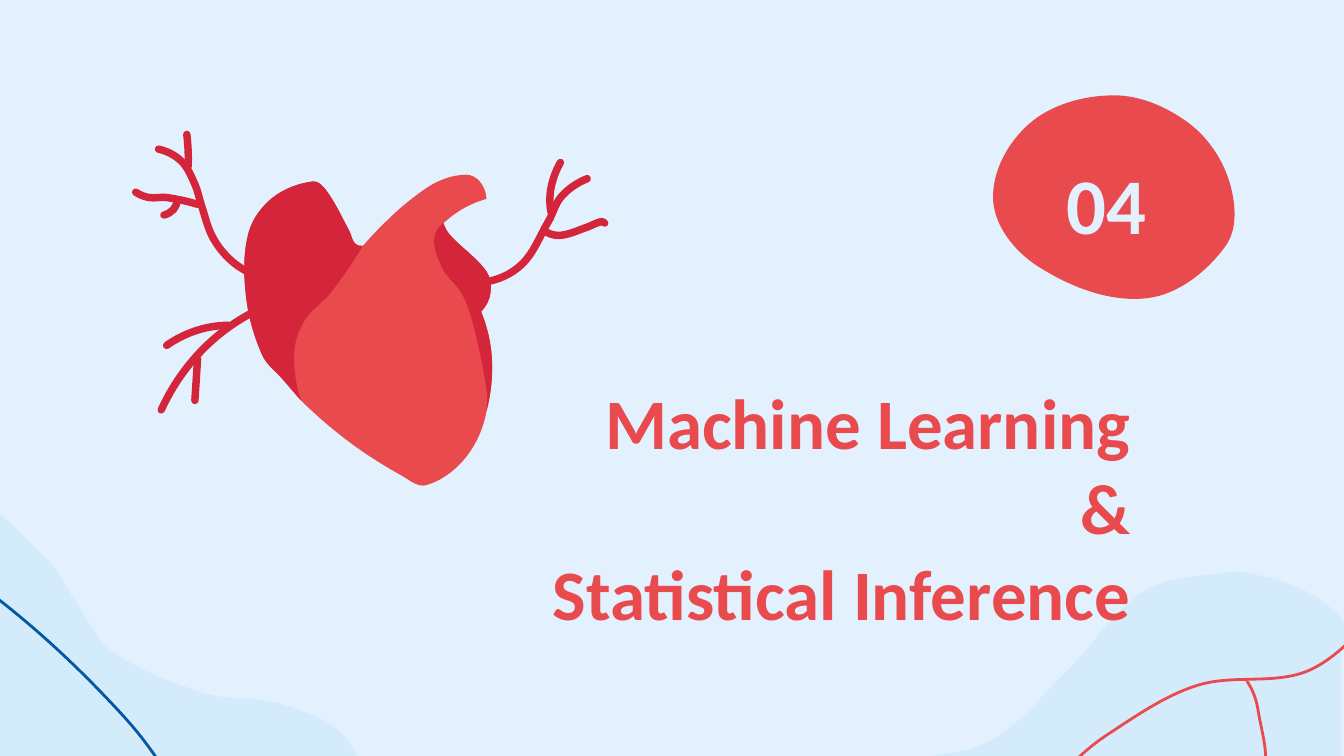
from math import dist

from pptx import Presentation
from pptx.dml.color import RGBColor
from pptx.enum.shapes import MSO_SHAPE
from pptx.enum.text import MSO_ANCHOR, PP_ALIGN
from pptx.oxml.ns import qn
from pptx.util import Pt

COLORS = {
    "background": "E3F1FE",
    "wave": "D4EBFC",
    "blue": "0258A1",
    "coral": "E94A4E",
    "crimson": "D4253B",
}
FONT = "Calibri"
UNIT = Pt(0.72)  # one grid step of the key points below
VEIN_WIDTH, VESSEL_WIDTH = 1.5, 4

# Key points are (x, y) grid steps from the corner of a region's box.
# A smooth curve is laid through them; separate runs meet in sharp corners.
BADGE = [(129, 21), (66, 42), (39, 99), (72, 148), (153, 172),
         (212, 133), (215, 86), (185, 42), (129, 21)]

LEFT_WAVE = [(-98, 324), (31, 383), (116, 361), (182, 341), (243, 329), (271, 304),
             (258, 250), (210, 224), (153, 216), (84, 185), (56, 147), (33, 114),
             (-29, 74), (-139, 156), (-133, 267), (-98, 324)]
LEFT_VEIN = [(140, 306), (92, 233), (-17, 134), (-144, 61), (-229, 31)]

RIGHT_CREST = [(97, 228), (146, 174), (235, 152), (295, 98), (351, 40),
               (411, 26), (432, 27), (472, 40), (501, 65), (498, 84)]
RIGHT_SIDE = [(498, 84), (498, 232)]
RIGHT_BASE = [(498, 232), (97, 228)]
RIGHT_VEIN = [(523, 50), (499, 82), (465, 102), (391, 110),
              (325, 146), (293, 174), (272, 210), (261, 243)]
RIGHT_BRANCH = [(431, 265), (401, 253), (398, 220), (439, 180), (436, 128), (428, 107)]

# Edges of the heart, counter-clockwise from the end of the aorta
AORTA = [(262, 48), (257, 35), (247, 30), (226, 35), (205, 49), (187, 65), (170, 83)]
CHAMBER_OUTER = [(170, 83), (164, 81), (160, 72), (143, 42), (133, 35), (103, 47),
                 (85, 73), (83, 120), (95, 164), (111, 183), (124, 198)]
TIP = [(124, 198), (160, 229), (199, 254), (217, 261), (246, 241), (262, 206)]
FLANK = [(262, 206), (266, 167), (258, 132)]
SHOULDER = [(258, 132), (265, 118), (262, 102), (235, 75), (230, 66)]
ARCH = [(230, 66), (245, 55), (262, 48)]
# Edges where the dark parts meet the bright front
CHAMBER_INNER = [(124, 198), (119, 162), (127, 138), (146, 118), (170, 83)]
SIDE_INNER = [(230, 66), (223, 79), (230, 101), (244, 119),
              (253, 145), (262, 190), (262, 206)]

HEART_PARTS = [
    ("coral", [AORTA, CHAMBER_OUTER, TIP, FLANK, SHOULDER, ARCH]),
    ("crimson", [CHAMBER_OUTER, CHAMBER_INNER]),
    ("crimson", [FLANK, SHOULDER, SIDE_INNER]),
]
# Center lines of the vessels: each stem with its twigs
VESSELS = {
    "right": [
        [(260, 110), (288, 97), (308, 65), (318, 46), (337, 33)],
        [(317, 21), (310, 40), (310, 58)],
        [(307, 73), (318, 75), (337, 69), (347, 65), (350, 66)],
    ],
    "upper left": [
        [(18, 11), (35, 20), (45, 37), (50, 53), (58, 76), (71, 93), (88, 104)],
        [(39, 0), (40, 12), (40, 24)],
        [(1, 43), (11, 47), (24, 47), (47, 52)],
        [(32, 49), (29, 56), (22, 60)],
    ],
    "lower left": [
        [(87, 133), (48, 163), (20, 205)],
        [(47, 167), (45, 198)],
        [(70, 142), (46, 146), (24, 157)],
    ],
}


def color(name):
    return RGBColor.from_string(COLORS[name])


def direction(start, end):
    """Unit vector from start to end."""
    length = dist(start, end)
    return (end[0] - start[0]) / length, (end[1] - start[1]) / length


def mirrored(chord, tangent):
    """Tangent at a free end, so that the last stretch bends evenly."""
    return tuple(2 * c - t for c, t in zip(chord, tangent))


def smooth(run):
    """Two handles and an end point for each stretch between key points."""
    if len(run) == 2:
        tangents = [direction(*run)] * 2
    else:
        tangents = [direction(before, after) for before, after in zip(run, run[2:])]
        if run[0] == run[-1]:  # a loop has no free ends
            first = last = direction(run[-2], run[1])
        else:
            first = mirrored(direction(run[0], run[1]), tangents[0])
            last = mirrored(direction(run[-2], run[-1]), tangents[-1])
        tangents = [first, *tangents, last]

    points = []
    for index, (start, end) in enumerate(zip(run, run[1:])):
        reach = dist(start, end) / 3  # handles take a third of the stretch
        leaving, arriving = tangents[index:index + 2]
        points.append([s + reach * t for s, t in zip(start, leaving)])
        points.append([e - reach * t for e, t in zip(end, arriving)])
        points.append(end)
    return points


def build_curve(shapes, runs, left, top, closed):
    points = [runs[0][0]] + [point for run in runs for point in smooth(run)]
    points = [(x * UNIT, y * UNIT) for x, y in points]
    builder = shapes.build_freeform(*points[0])
    builder.add_line_segments(points[1:], close=closed)
    shape = builder.convert_to_shape(left, top)
    shape.shadow.inherit = False
    # Turn each three straight segments into one Bezier curve
    segments = list(shape.element.iter(qn("a:lnTo")))
    for first, second, third in zip(segments[::3], segments[1::3], segments[2::3]):
        first.tag = qn("a:cubicBezTo")
        for segment in (second, third):
            first.append(segment[0])
            segment.getparent().remove(segment)
    return shape


def fill_plain(shape, color_name):
    shape.fill.solid()
    shape.fill.fore_color.rgb = color(color_name)
    shape.line.fill.background()


def add_area(shapes, runs, left, top, color_name):
    fill_plain(build_curve(shapes, runs, left, top, closed=True), color_name)


def add_stroke(shapes, run, left, top, color_name, width):
    shape = build_curve(shapes, [run], left, top, closed=False)
    shape.fill.background()
    shape.line.color.rgb = color(color_name)
    shape.line.width = Pt(width)
    shape.element.spPr.find(qn("a:ln")).set("cap", "rnd")


def write_text(shape, lines, size, color_name, alignment):
    frame = shape.text_frame
    frame.word_wrap = True
    frame.vertical_anchor = MSO_ANCHOR.MIDDLE
    frame.margin_left = frame.margin_right = Pt(7.2)
    frame.margin_top = frame.margin_bottom = Pt(7.2)
    for index, line in enumerate(lines):
        paragraph = frame.add_paragraph() if index else frame.paragraphs[0]
        paragraph.alignment = alignment
        run = paragraph.add_run()
        run.text = line
        run.font.name = FONT
        run.font.size = Pt(size)
        run.font.bold = True
        run.font.color.rgb = color(color_name)


def add_corner(slide, left, top, wave, veins, vein_color):
    add_area(slide.shapes, wave, left, top, "wave")
    for vein in veins:
        add_stroke(slide.shapes, vein, left, top, vein_color, VEIN_WIDTH)


def add_badge(slide, left, top, number):
    add_area(slide.shapes, [BADGE], left, top, "coral")
    label = slide.shapes.add_shape(
        MSO_SHAPE.RECTANGLE, left + Pt(60.5), top + Pt(43.9), Pt(66.2), Pt(57.6))
    label.shadow.inherit = False
    fill_plain(label, "coral")
    write_text(label, [number], 42.2, "background", PP_ALIGN.LEFT)


def add_title(slide, left, top, width, height, lines):
    title = slide.shapes.add_textbox(left, top, width, height)
    write_text(title, lines, 38, "coral", PP_ALIGN.RIGHT)


def add_heart(slide, left, top):
    shapes = slide.shapes.add_group_shape().shapes
    for color_name, edges in HEART_PARTS:
        add_area(shapes, edges, left, top, color_name)
    for branches in VESSELS.values():
        for branch in branches:
            add_stroke(shapes, branch, left, top, "crimson", VESSEL_WIDTH)


def main():
    presentation = Presentation()
    presentation.slide_width, presentation.slide_height = Pt(720), Pt(405)
    slide = presentation.slides.add_slide(presentation.slide_layouts[6])
    slide.background.fill.solid()
    slide.background.fill.fore_color.rgb = color("background")
    # Corner decorations
    add_corner(slide, Pt(360), Pt(288), [RIGHT_CREST, RIGHT_SIDE, RIGHT_BASE],
               [RIGHT_VEIN, RIGHT_BRANCH], "coral")
    add_corner(slide, Pt(0), Pt(216), [LEFT_WAVE], [LEFT_VEIN], "blue")
    # Section number, title and heart
    add_badge(slide, Pt(504), Pt(36), "04")
    add_title(slide, Pt(286.6), Pt(173.5), Pt(326.2), Pt(195.8),
              ["Machine Learning &", "Statistical Inference"])
    add_heart(slide, Pt(72), Pt(72))
    presentation.save("out.pptx")


if __name__ == "__main__":
    main()
